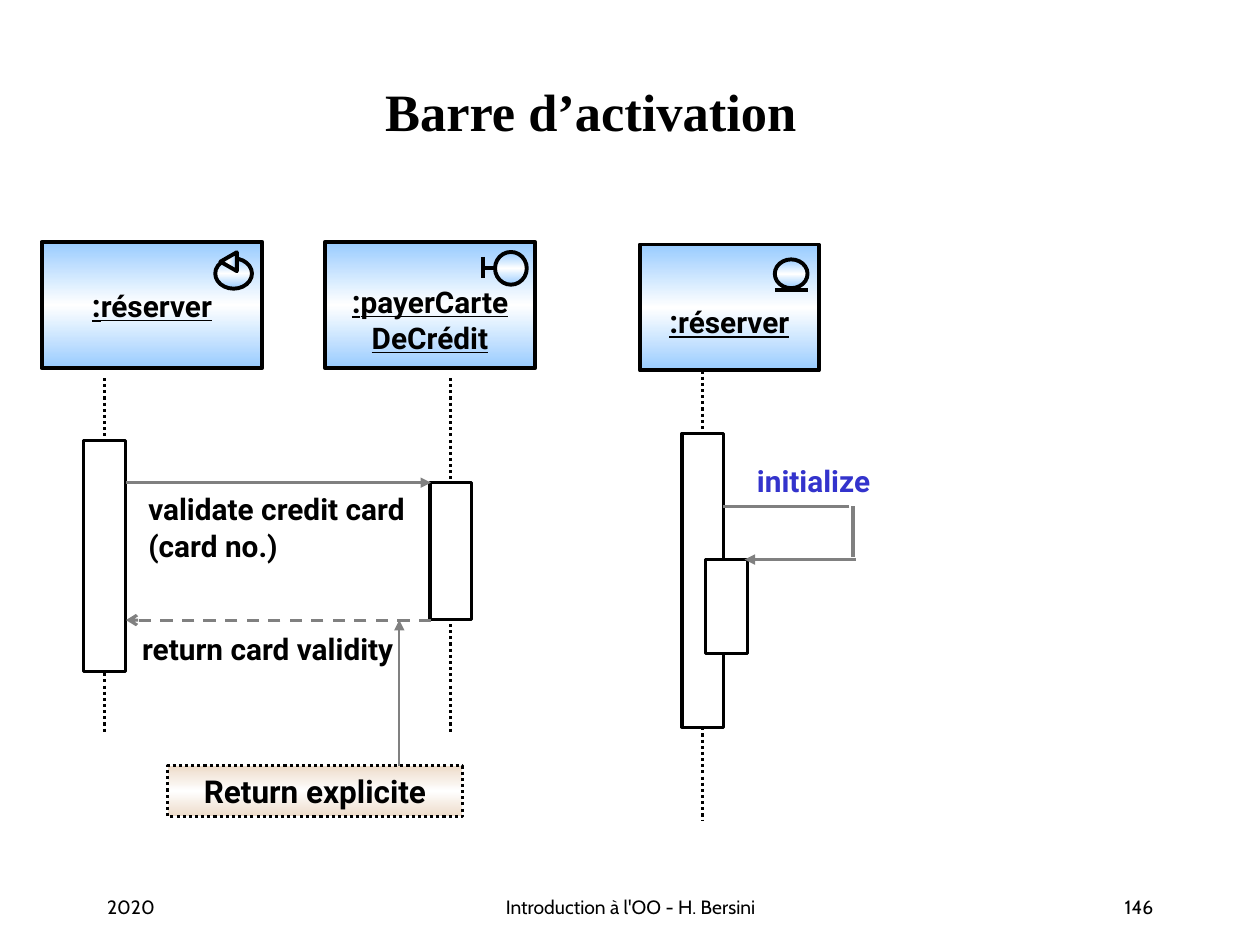
from copy import deepcopy
from lxml import etree
from pptx import Presentation
from pptx.dml.color import RGBColor
from pptx.enum.dml import MSO_LINE
from pptx.enum.shapes import MSO_CONNECTOR, MSO_SHAPE
from pptx.enum.text import MSO_ANCHOR, PP_ALIGN
from pptx.oxml.ns import qn
from pptx.util import Cm, Pt

LEFT, MID, RIGHT = PP_ALIGN.LEFT, PP_ALIGN.CENTER, PP_ALIGN.RIGHT
RECT, OVAL, TRI = MSO_SHAPE.RECTANGLE, MSO_SHAPE.OVAL, MSO_SHAPE.ISOSCELES_TRIANGLE
DOT, DASH = MSO_LINE.ROUND_DOT, MSO_LINE.DASH

HUES = {"ink": "000000", "white": "FFFFFF", "sky": "99CCFF",
        "sand": "EDDBC9", "gray": "808080", "blue": "3333CC"}

TITLE = "Barre d’activation"
FOOTER = [
    ("2020", 1.91, 5.29, LEFT),
    ("Introduction à l'OO - H. Bersini", 8.69, 8.05, MID),
    ("146", 18.21, 5.29, RIGHT),
]
LABELS = [
    ("validate credit card (card no.)", (2.74, 9.73, 6.35, 1.75), LEFT, 1.05, "ink"),
    ("return card validity", (2.54, 12.45, 5.72, 1.12), MID, 1.2, "ink"),
    ("initialize", (15.01, 9.17, 3.68, 1.02), LEFT, 1.05, "blue"),
]
NOTE = ("Return explicite", (3.38, 15.44, 5.94, 1.02))
ACTORS = [
    (["réserver"], (0.84, 4.88, 4.45, 2.54), 0),
    (["payerCarte", "DeCrédit"], (6.55, 4.88, 4.24, 2.54), 0.56),
    (["réserver"], (12.9, 4.93, 3.61, 2.54), 0.56),
]
LIVES = [(2.11, 7.62, 14.81), (9.09, 7.62, 14.81), (14.17, 7.47, 16.56)]
BARS = [(2.11, 8.89, 4.65), (9.09, 9.73, 2.76), (14.17, 8.74, 5.92), (14.65, 11.28, 1.9)]
BAR_W = 0.84
ICONS = [
    (OVAL, (9.98, 5.08, 0.64, 0.66), 0),
    (OVAL, (4.34, 5.21, 0.74, 0.61), 0),
    (TRI, (4.42, 5.11, 0.38, 0.33), 270),
    (OVAL, (15.62, 5.23, 0.66, 0.58), 0),
]
STEMS = [(9.73, 5.18, 9.73, 5.61), (9.98, 5.41, 9.73, 5.41), (15.62, 5.84, 16.28, 5.84)]
CALLS = [
    ((8.05, 15.44, 8.05, 12.5), 1, None, "triangle"),
    ((8.69, 12.5, 2.54, 12.5), 1.75, DASH, "arrow"),
    ((2.54, 9.73, 8.69, 9.73), 1.75, None, "triangle"),
    ((17.25, 11.28, 15.01, 11.28), 1.75, None, "triangle"),
    ((17.2, 11.23, 17.2, 10.21), 2.25, None, None),
    ((17.12, 10.21, 14.58, 10.21), 2.25, None, None),
]


def rgb(hue):
    return RGBColor.from_string(HUES[hue])


def style(font, size, face="Roboto", hue="ink", bold=True):
    font.size, font.name, font.bold = Pt(size), face, bold
    font.color.rgb = rgb(hue)


def stroke(line, hue, width, dash=None):
    line.color.rgb, line.width = rgb(hue), Pt(width)
    if dash:
        line.dash_style = dash


def draw(kind, box, width, tint=None, dash=None):
    shape = shapes.add_shape(kind, *map(Cm, box))
    shape.shadow.inherit = False
    stroke(shape.line, "ink", width, dash)
    if tint:
        shape.fill.gradient()
        shape.fill.gradient_angle = 90
        stops = shape._element.spPr.find(".//" + qn("a:gsLst"))
        stops.append(deepcopy(stops[0]))
        for i, stop in enumerate(shape.fill.gradient_stops):
            stop.position = i / 2
            stop.color.rgb = rgb("white" if i == 1 else tint)
    else:
        shape.fill.solid()
        shape.fill.fore_color.rgb = rgb("white")
    return shape


def link(ends, hue, width, dash=None, tail=None):
    line = shapes.add_connector(MSO_CONNECTOR.STRAIGHT, *map(Cm, ends))
    stroke(line.line, hue, width, dash)
    if tail:
        etree.SubElement(line.line._get_or_add_ln(), qn("a:tailEnd"), type=tail)
    etree.SubElement(line._element.spPr, qn("a:effectLst"))


def write(text, box, align, size, **look):
    frame = shapes.add_textbox(*map(Cm, box)).text_frame
    frame.word_wrap = True
    para = frame.paragraphs[0]
    para.text, para.alignment = text, align
    style(para.font, size, **look)
    return para


def actor(names, box, drop):
    frame = draw(RECT, box, 2.25, "sky").text_frame
    frame.word_wrap, frame.vertical_anchor = False, MSO_ANCHOR.MIDDLE
    frame.margin_top, frame.margin_bottom = Cm(drop), 0
    for i, name in enumerate(names):
        para = frame.add_paragraph() if i else frame.paragraphs[0]
        para.alignment = MID
        style(para.font, 17)
        para.font.underline = True
        if i == 0:
            colon = para.add_run()
            colon.text, colon.font.size = ":", Pt(18)
        para.add_run().text = name


deck = Presentation()
deck.slide_width, deck.slide_height = Cm(25.4), Cm(19.05)
slide = deck.slides.add_slide(deck.slide_layouts[5])
shapes = slide.shapes

title = shapes.title
title.left, title.top, title.width, title.height = map(Cm, (1.12, 0.64, 21.59, 3.18))
title.text_frame.text = TITLE
title.text_frame.vertical_anchor = MSO_ANCHOR.MIDDLE
head = title.text_frame.paragraphs[0]
head.alignment = MID
style(head.font, 30, "Times New Roman")

for text, x, wide, align in FOOTER:
    write(text, (x, 17.93, wide, 0.71), align, 11, face="Cabin", bold=False)
for text, box, align, gap, hue in LABELS:
    write(text, box, align, 17, hue=hue).line_spacing = gap

text, box = NOTE
note = draw(RECT, box, 1.75, "sand", DOT).text_frame
note.text = text
note.paragraphs[0].alignment = MID
style(note.paragraphs[0].font, 18)

for x, top, end in LIVES:
    link((x, top, x, end), "ink", 1.75, DOT)
for x, top, tall in BARS:
    draw(RECT, (x - BAR_W / 2, top, BAR_W, tall), 1.75)
for names, box, drop in ACTORS:
    actor(names, box, drop)
for kind, box, turn in ICONS:
    draw(kind, box, 2.25, "sky").rotation = turn
for ends in STEMS:
    link(ends, "ink", 2.25)
for ends, width, dash, tail in CALLS:
    link(ends, "gray", width, dash, tail)

deck.save("out.pptx")
